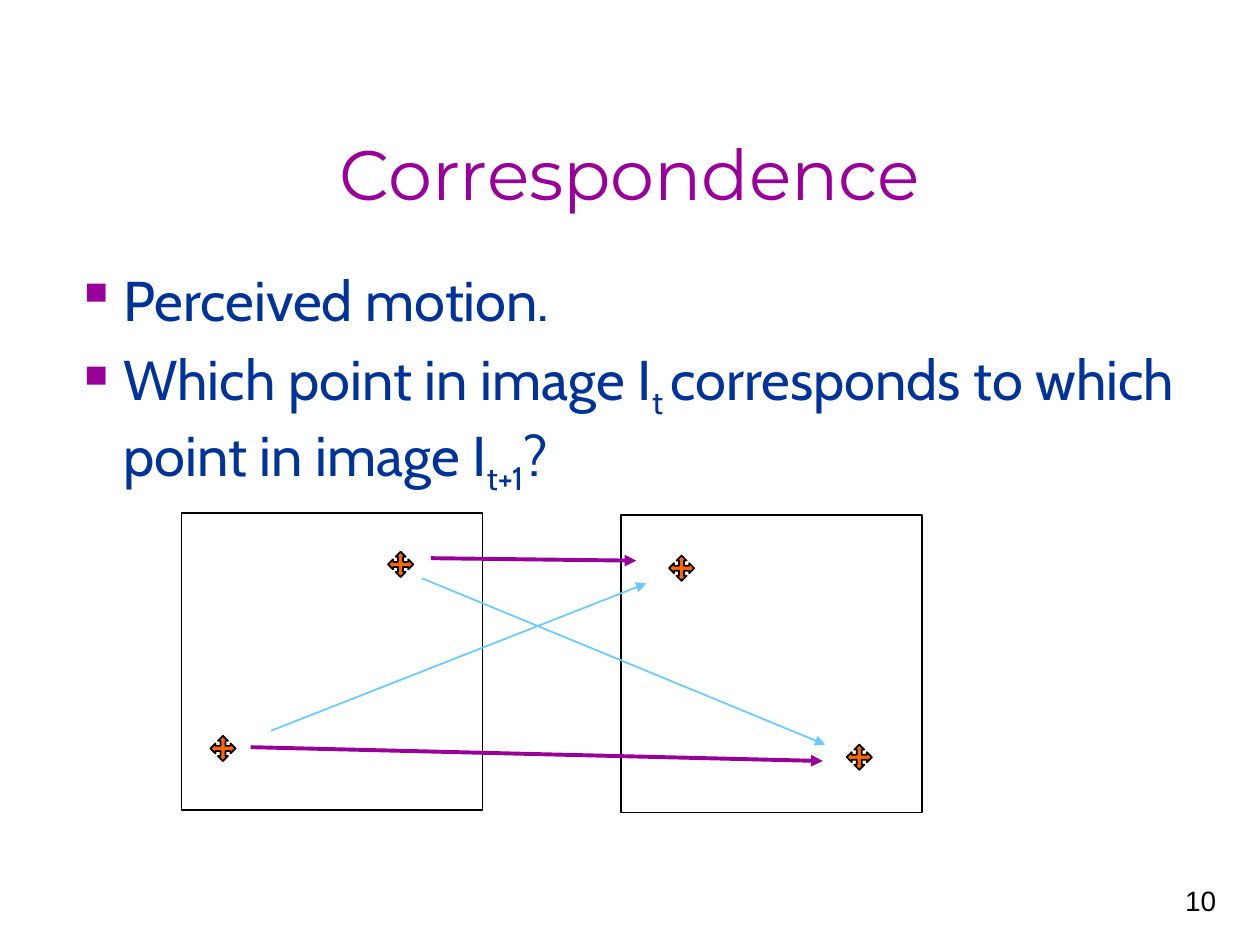
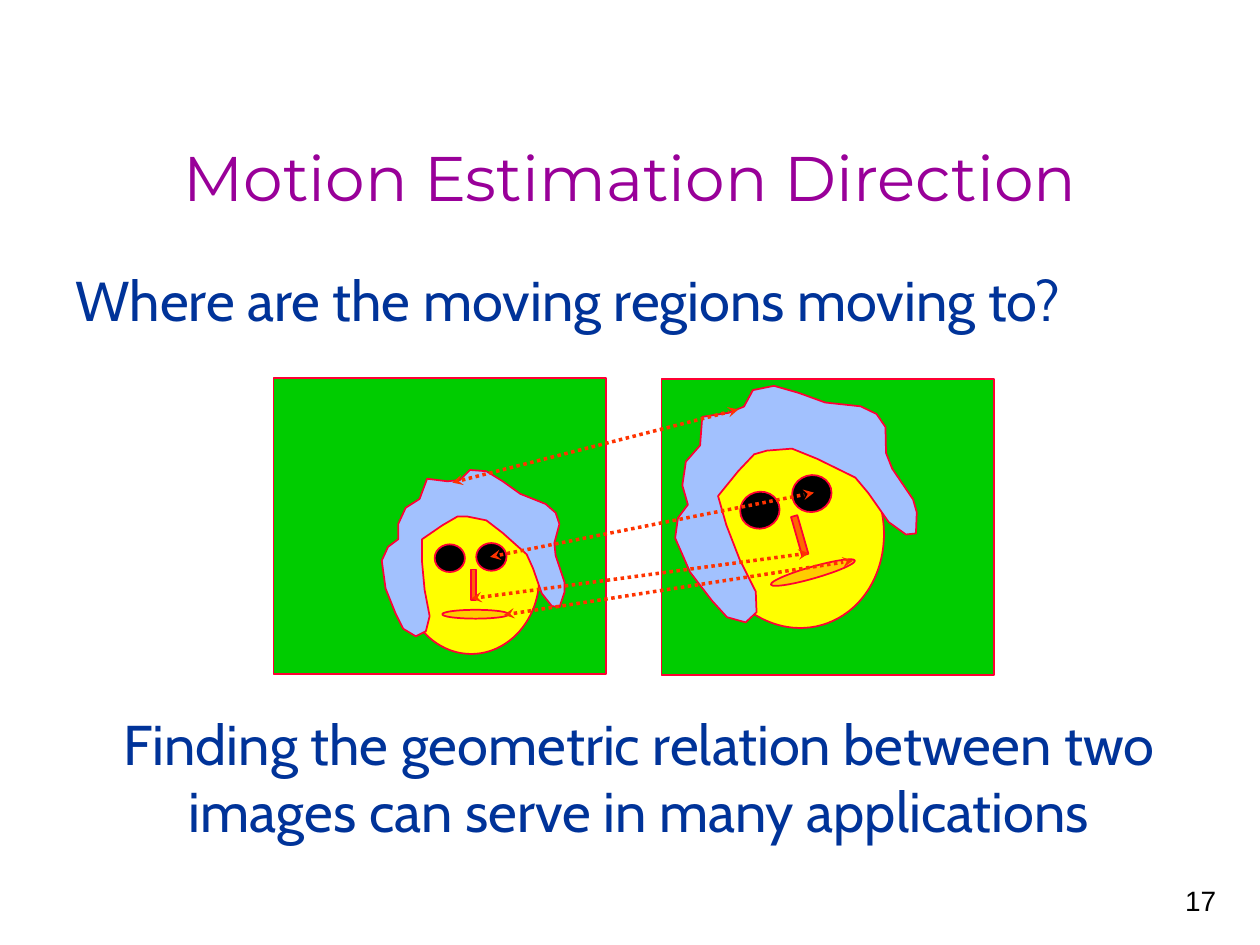
import math
import pptx
import pptx.util
import pptx.dml.color
import pptx.enum.dml
import pptx.enum.shapes
import pptx.enum.text
import pptx.oxml
import pptx.oxml.ns
from lxml import etree

RGB = pptx.dml.color.RGBColor
SHAPE = pptx.enum.shapes.MSO_SHAPE
ALIGN = pptx.enum.text.PP_ALIGN
ANCHOR = pptx.enum.text.MSO_ANCHOR
Pt = pptx.util.Pt
qn = pptx.oxml.ns.qn

PX = 9144  # 100 px to the inch
PURPLE = RGB.from_string("990099")
NAVY = RGB.from_string("003399")
BLACK = RGB.from_string("000000")
WHITE = RGB.from_string("FFFFFF")
ORANGE = RGB.from_string("FF6600")
SKY = RGB.from_string("66CCFF")
GREEN = RGB.from_string("00CC00")
RED = RGB.from_string("FF0033")
FLAME = RGB.from_string("FF3300")
YELLOW = RGB.from_string("FFFF00")
GOLD = RGB.from_string("FFCC00")
LILAC = RGB.from_string("A2C1FE")

TITLE_BOX = (75, 50, 850, 125)
BODY_BOX = (50, 206, 894, 456)
PAGE_BOX = (767, 683, 208, 50)
NOTE_BOX = (83, 558, 849, 172)
INDENT = 38

# Each paragraph is a list of (text, is subscript)
MATCH_TEXT = [
    [("Perceived motion.", False)],
    [("Which point in image I", False), ("t ", True),
     ("corresponds to which point in image I", False), ("t+1", True), ("?", False)],
]
MOVE_TEXT = [[("Where are the moving regions moving to?", False)]]
NOTE = "Finding the geometric relation between two images can serve in many applications"

FRAME_SIZE = (239, 236)
FRAMES = [(144, 407), (493, 409)]
MARKS = [(177, 594), (682, 601), (541, 451), (318, 448)]
MARK_ARM = [(0, -10), (-4, -6), (-2, -6), (-2, -2), (-6, -2), (-6, -4)]
MATCHES = [
    ((215, 580), (513, 463), SKY, 1),
    ((335, 459), (655, 591), SKY, 1),
    ((199, 593), (653, 604), PURPLE, 2.25),
    ((342, 443), (505, 445), PURPLE, 2.25),
]

FIELD_SIZE = (264, 235)
FIELDS = [(525, 301), (217, 300)]
# Parts of the first face; the second one is turned and enlarged from it
FACE = [
    (SHAPE.OVAL, (320, 397, 108, 122), YELLOW),
    (SHAPE.OVAL, (345, 432, 24, 22), BLACK),
    (SHAPE.OVAL, (378, 431, 24, 22), BLACK),
    (SHAPE.RECTANGLE, (374, 452, 4, 24), ORANGE),
    (SHAPE.OVAL, (351, 484, 53, 7), GOLD),
]
HUB = (374, 458)
# Centre, width and height factors, turn in degrees
POSES = [(HUB, 1, 1, 0), ((630, 418), 1.31, 1.33, -16)]
HAIR = [
    (423, 451), (430, 471), (438, 481), (444, 482), (448, 470), (448, 462),
    (441, 441), (440, 431), (444, 416), (441, 407), (433, 400), (413, 392),
    (399, 382), (386, 374), (373, 373), (365, 381), (355, 382), (339, 380),
    (333, 396), (322, 403), (316, 416), (316, 428), (308, 434), (303, 445),
    (306, 467), (314, 487), (320, 499), (330, 505), (338, 501), (341, 489),
    (337, 468), (335, 446), (335, 428), (351, 417), (363, 410), (371, 410),
    (386, 413), (399, 423), (418, 440),
]
MOVES = [
    ((374, 475), (642, 439)),
    ((400, 488), (677, 445)),
    ((389, 442), (646, 391)),
    ((359, 383), (586, 325)),
]


def emu(*nums):
    return [round(n * PX) for n in nums]


def style(run, font, size, color):
    run.font.name = font
    run.font.size = Pt(size)
    run.font.color.rgb = color


def place(shape, box):
    shape.left, shape.top, shape.width, shape.height = emu(*box)


def add_text(slide, box, text, font, size, color, align, anchor=ANCHOR.TOP):
    frame = slide.shapes.add_textbox(*emu(*box)).text_frame
    frame.word_wrap = True
    frame.vertical_anchor = anchor
    frame.text = text
    para = frame.paragraphs[0]
    para.alignment = align
    style(para.runs[0], font, size, color)


def add_page(deck, title, size, number):
    """Add a slide with its title and page number."""
    slide = deck.slides.add_slide(deck.slide_layouts[5])
    head = slide.shapes.title
    place(head, TITLE_BOX)
    frame = head.text_frame
    frame.text = title
    frame.vertical_anchor = ANCHOR.BOTTOM
    frame.auto_size = pptx.enum.text.MSO_AUTO_SIZE.NONE
    frame.paragraphs[0].alignment = ALIGN.CENTER
    style(frame.paragraphs[0].runs[0], "Montserrat", size, PURPLE)
    add_text(slide, PAGE_BOX, number, "Arial", 16, BLACK, ALIGN.RIGHT, ANCHOR.BOTTOM)
    return slide


def add_body(slide, paras, bullet):
    frame = slide.shapes.add_textbox(*emu(*BODY_BOX)).text_frame
    frame.word_wrap = True
    for i, parts in enumerate(paras):
        para = frame.add_paragraph() if i else frame.paragraphs[0]
        para.space_before = Pt(6.4)
        props = para._p.get_or_add_pPr()
        props.set("marL", str(INDENT * PX))
        props.set("indent", str(-INDENT * PX))
        if bullet:
            tint = etree.SubElement(props, qn("a:buClr"))
            etree.SubElement(tint, qn("a:srgbClr"), val=str(PURPLE))
            etree.SubElement(props, qn("a:buChar"), char="▪")
        for text, sub in parts:
            run = para.add_run()
            run.text = text
            style(run, "Cabin", 32, NAVY)
            if sub:
                run._r.get_or_add_rPr().set("baseline", "-25000")


def paint(shape, fill, edge):
    shape.shadow.inherit = False
    shape.fill.solid()
    shape.fill.fore_color.rgb = fill
    shape.line.color.rgb = edge
    shape.line.width = Pt(1)


def add_block(slide, kind, box, fill, edge, turn=0):
    shape = slide.shapes.add_shape(kind, *emu(*box))
    shape.rotation = turn
    paint(shape, fill, edge)


def add_outline(slide, points, fill, edge):
    dots = [emu(*p) for p in points]
    pen = slide.shapes.build_freeform(*dots[0])
    pen.add_line_segments(dots[1:], close=True)
    paint(pen.convert_to_shape(), fill, edge)


def add_arrow(slide, start, end, color, width, tips, dash=None):
    """Draw a straight line; tips maps headEnd and tailEnd to arrow types."""
    line = slide.shapes.add_connector(
        pptx.enum.shapes.MSO_CONNECTOR.STRAIGHT, *emu(*start, *end))
    line.line.color.rgb = color
    line.line.width = Pt(width)
    if dash:
        line.line.dash_style = dash
    for tip, kind in tips.items():
        etree.SubElement(line.line._get_or_add_ln(), qn("a:" + tip), type=kind)
    etree.SubElement(line._element.spPr, qn("a:effectLst"))


def add_mark(slide, x, y):
    """Draw a four-way arrow: one arm turned by quarters."""
    arm, points = MARK_ARM, []
    for _ in range(4):
        points += [(x + dx, y + dy) for dx, dy in arm]
        arm = [(dy, -dx) for dx, dy in arm]
    add_outline(slide, points, ORANGE, BLACK)


def add_face(slide, hub, wide, high, turn):
    cos, sin = math.cos(math.radians(turn)), math.sin(math.radians(turn))

    def move(x, y):
        dx, dy = (x - HUB[0]) * wide, (y - HUB[1]) * high
        return hub[0] + dx * cos - dy * sin, hub[1] + dx * sin + dy * cos

    for kind, (x, y, w, h), fill in FACE:
        mx, my = move(x + w / 2, y + h / 2)
        w, h = w * wide, h * high
        add_block(slide, kind, (mx - w / 2, my - h / 2, w, h), fill, RED, turn)
    add_outline(slide, [move(*p) for p in HAIR], LILAC, RED)


def build_match(deck):
    slide = add_page(deck, "Correspondence", 40, "10")
    for spot in FRAMES:
        add_block(slide, SHAPE.RECTANGLE, spot + FRAME_SIZE, WHITE, BLACK)
    for spot in MARKS:
        add_mark(slide, *spot)
    for match in MATCHES:
        add_arrow(slide, *match, {"tailEnd": "triangle"})
    add_body(slide, MATCH_TEXT, True)


def build_move(deck):
    slide = add_page(deck, "Motion Estimation Direction", 36, "17")
    add_body(slide, MOVE_TEXT, False)
    for spot in FIELDS:
        add_block(slide, SHAPE.RECTANGLE, spot + FIELD_SIZE, GREEN, RED)
    for pose in POSES:
        add_face(slide, *pose)
    tips = {"headEnd": "stealth", "tailEnd": "stealth"}
    for start, end in MOVES:
        add_arrow(slide, start, end, FLAME, 2, tips, pptx.enum.dml.MSO_LINE.ROUND_DOT)
    add_text(slide, NOTE_BOX, NOTE, "Cabin", 32, NAVY, ALIGN.CENTER)


def main():
    deck = pptx.Presentation()
    deck.slide_width, deck.slide_height = emu(1000, 750)
    build_match(deck)
    build_move(deck)
    deck.save("out.pptx")


if __name__ == "__main__":
    main()
